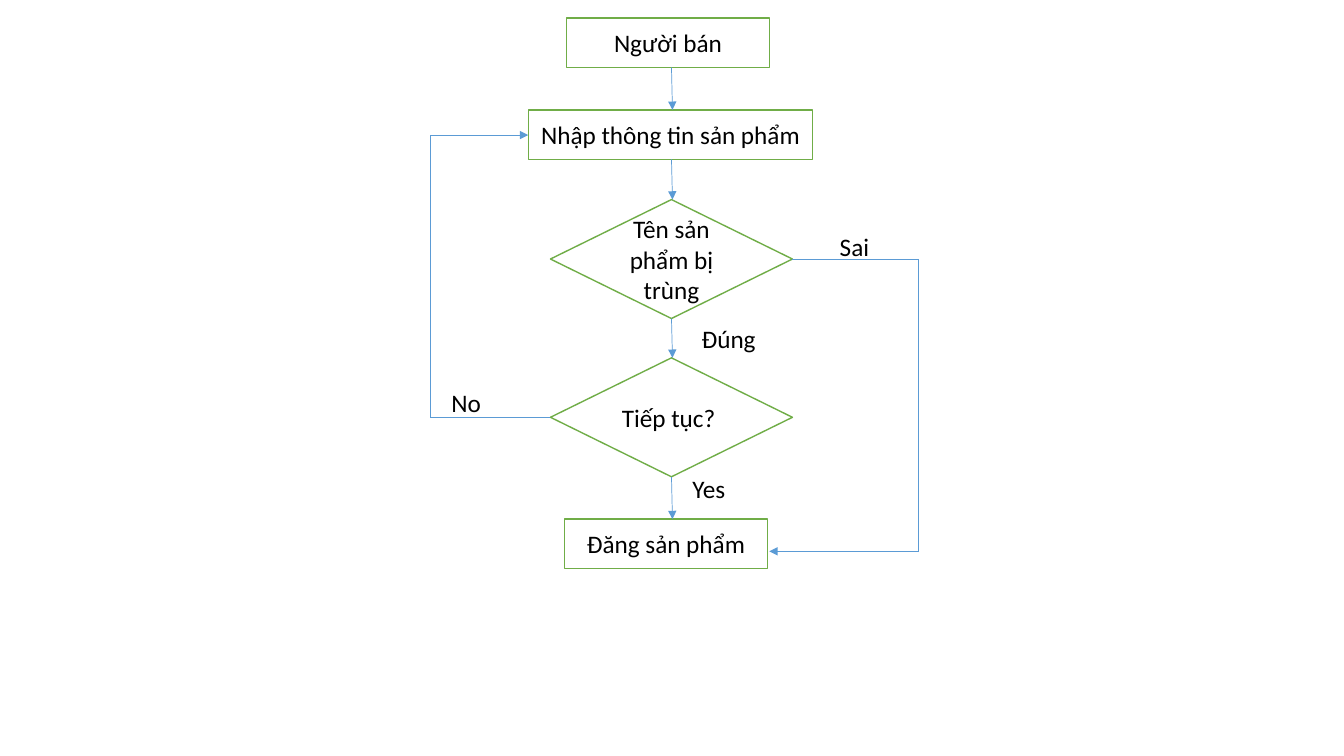
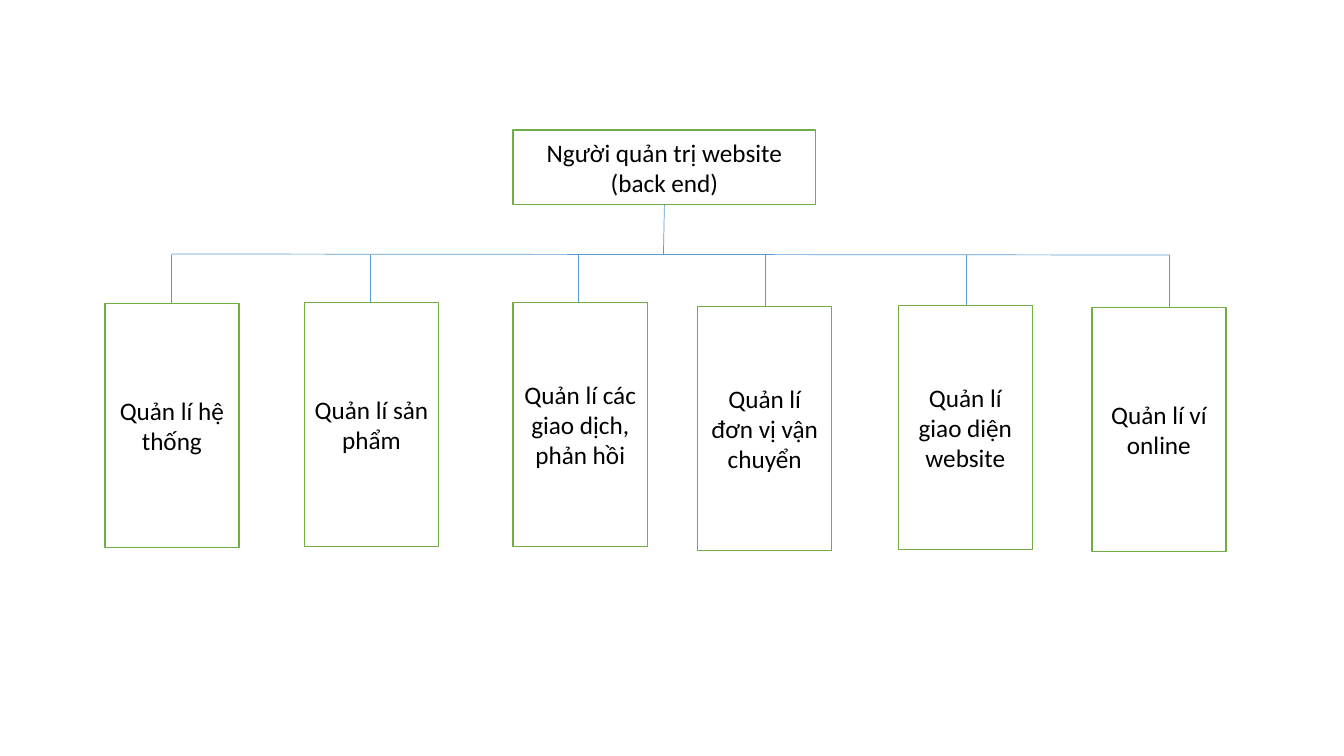
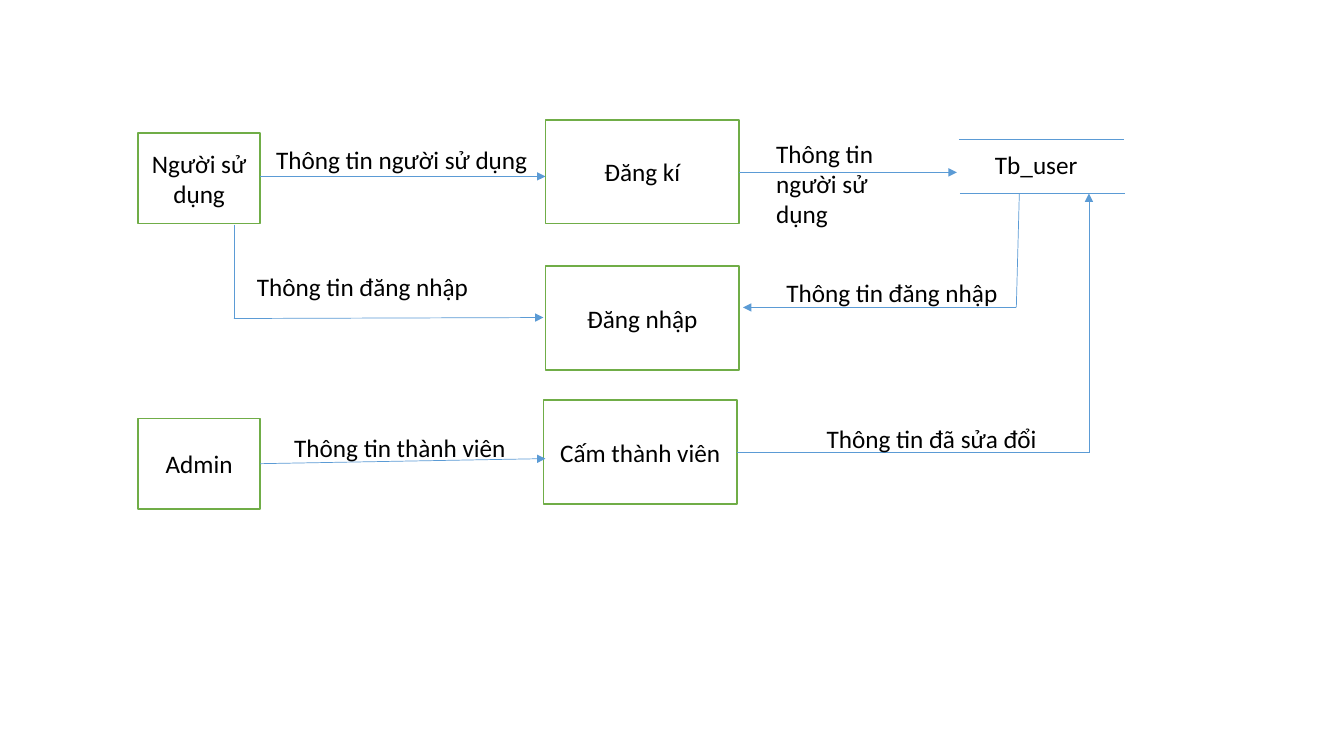
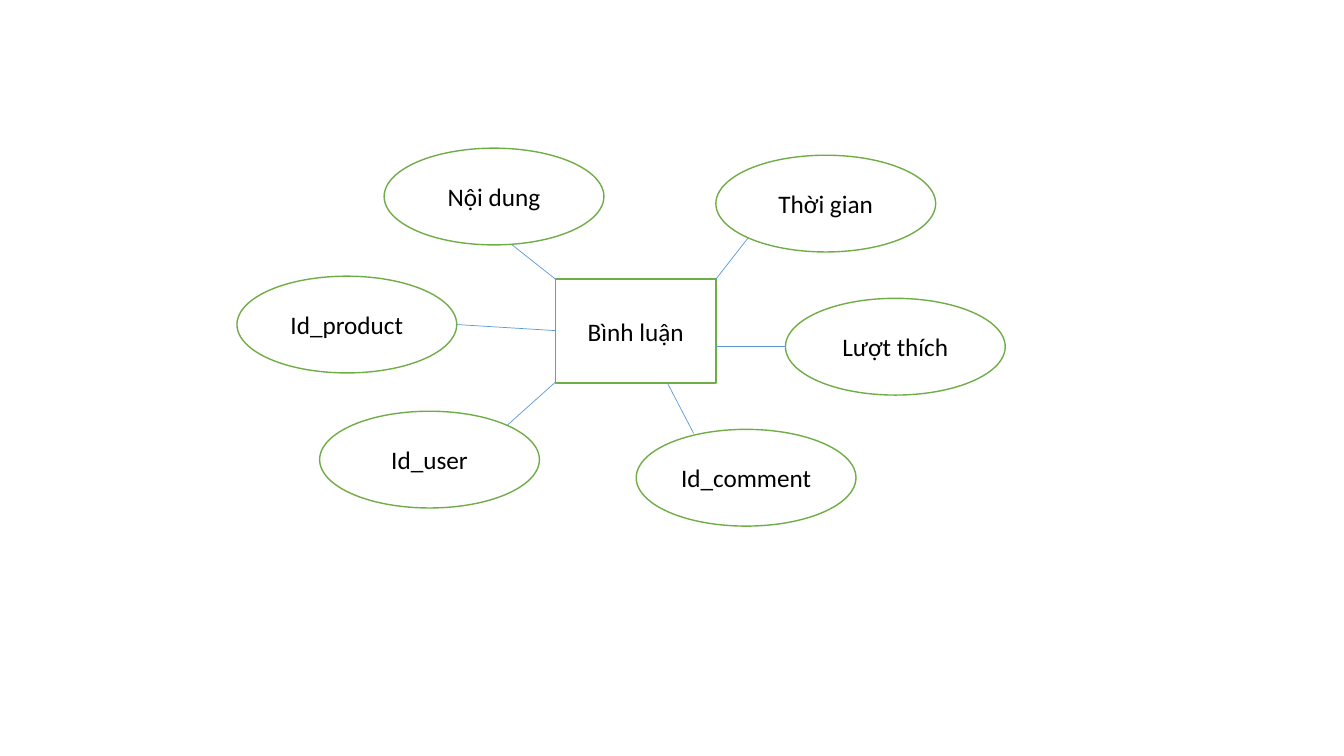
"""Build four diagram slides: a flowchart, a function tree, a data flow and an entity map."""
from itertools import pairwise

from lxml.etree import SubElement
from pptx import Presentation
from pptx.dml.color import RGBColor
from pptx.enum.shapes import MSO_CONNECTOR, MSO_SHAPE
from pptx.enum.text import MSO_ANCHOR, MSO_AUTO_SIZE, PP_ALIGN
from pptx.oxml.ns import qn
from pptx.util import Inches, Pt

COLORS = {"fill": "FFFFFF", "edge": "70AD47", "link": "5B9BD5", "text": "000000"}
FONT, SIZE = "Calibri", 18
RECT, OVAL, TEST = MSO_SHAPE.RECTANGLE, MSO_SHAPE.OVAL, MSO_SHAPE.FLOWCHART_DECISION
ROW = 0.4

KINDS = {
    "step": (RECT, 2.01, 0.49),
    "input": (RECT, 2.82, 0.49),
    "test": (TEST, 2.4, 1.18),
    "root": (RECT, 3, 0.74),
    "leaf": (RECT, 1.33, 2.42),
    "actor": (RECT, 1.21, 0.9),
    "task": (RECT, 1.92, 1.03),
    "entity": (RECT, 1.59, 1.03),
    "field": (OVAL, 2.18, 0.96),
}

STEPS = [
    ("step", "Người bán", 5.62, 0.18),
    ("input", "Nhập thông tin sản phẩm", 5.24, 1.09),
    ("test", "Tên sản phẩm bị trùng", 5.46, 1.98),
    ("test", "Tiếp tục? ", 5.46, 3.55),
    ("step", "Đăng sản phẩm", 5.6, 5.15),
]
AXIS = 6.66

ROOT = ("root", "Người quản trị website\n(back end)", 5.09, 1.29)
BUS = 2.53
LEAVES = [
    ("Quản lí hệ thống", 1.04, 3.01, 1.7),
    ("Quản lí sản phẩm", 3.02, 3, 3.67),
    ("Quản lí các giao dịch, phản hồi", 5.09, 3, 5.74),
    ("Quản lí đơn vị vận chuyển", 6.92, 3.04, 7.59),
    ("Quản lí giao diện website", 8.91, 3.03, 9.58),
    ("Quản lí ví online", 10.83, 3.05, 11.6),
]

FIELDS = [
    ("Id_comment", 6.31, 4.26),
    ("Id_user", 3.17, 4.08),
    ("Id_product", 2.35, 2.74),
    ("Nội dung", 3.81, 1.47),
    ("Thời gian", 7.1, 1.54),
    ("Lượt thích", 7.79, 2.96),
]


def foot(box):
    """Return the bottom edge of a box."""
    return box[3] + KINDS[box[0]][2]


SLIDES = [
    {
        "boxes": STEPS,
        "arrows": [
            *([(AXIS, foot(a)), (AXIS + 0.01, b[3])] for a, b in pairwise(STEPS)),
            [(7.86, 2.57), (9.11, 2.57), (9.11, 5.47), (7.63, 5.47)],
            [(5.46, 4.14), (4.27, 4.14), (4.27, 1.34), (5.24, 1.34)],
        ],
        "labels": [
            ("Sai", 8.23, 2.25, 0.55),
            ("Đúng", 6.86, 3.16, 0.75),
            ("Yes", 6.77, 4.65, 0.53),
            ("No", 4.38, 3.79, 0.5),
        ],
    },
    {
        "boxes": [ROOT, *(("leaf", text, x, y) for text, x, y, _ in LEAVES)],
        "lines": [
            [(LEAVES[0][3], BUS - 0.01), (LEAVES[-1][3], BUS)],
            [(6.59, foot(ROOT)), (6.58, BUS)],
            *([(stem, BUS), (stem, y)] for _, _, y, stem in LEAVES),
        ],
    },
    {
        "boxes": [
            ("actor", "Người sử dụng", 1.37, 1.32),
            ("actor", "Admin", 1.37, 4.15),
            ("task", "Đăng kí", 5.41, 1.19),
            ("task", "Đăng nhập", 5.41, 2.64),
            ("task", "Cấm thành viên", 5.39, 3.97),
        ],
        "lines": [
            [(9.51, 1.38), (11.15, 1.38)],
            [(9.52, 1.92), (11.16, 1.92)],
        ],
        "arrows": [
            [(2.58, 1.75), (5.41, 1.75)],
            [(7.33, 1.71), (9.49, 1.71)],
            [(2.32, 2.23), (2.32, 3.16), (5.39, 3.15)],
            [(10.11, 1.92), (10.08, 3.05), (7.37, 3.05)],
            [(2.58, 4.6), (5.41, 4.55)],
            [(7.31, 4.49), (10.8, 4.49), (10.8, 1.92)],
        ],
        "labels": [
            ("Thông tin người sử dụng", 2.64, 1.38, 2.73),
            ("Tb_user", 9.77, 1.43, 1.03),
            ("Thông tin đăng nhập", 2.45, 2.64, 2.32),
            ("Thông tin đăng nhập", 7.7, 2.7, 2.32),
            ("Thông tin thành viên", 2.82, 4.24, 2.33),
            ("Thông tin đã sửa đổi", 8.1, 4.15, 2.31),
        ],
        "notes": [("Thông tin người sử dụng", 7.6, 1.32, 1.38, 1.01)],
    },
    {
        "boxes": [
            ("entity", "Bình luận", 5.51, 2.77),
            *(("field", *field) for field in FIELDS),
        ],
        "lines": [
            [(5.08, 2.43), (5.51, 2.77)],
            [(7.42, 2.36), (7.1, 2.77)],
            [(7.79, 3.44), (7.1, 3.44)],
            [(6.88, 4.3), (6.62, 3.8)],
            [(5.03, 4.22), (5.51, 3.79)],
            [(4.53, 3.22), (5.51, 3.28)],
        ],
    },
]


def color(name):
    """Look up a colour by its role."""
    return RGBColor.from_string(COLORS[name])


def write(frame, text, align):
    """Fill a text frame, one paragraph for each line."""
    for i, line in enumerate(text.split("\n")):
        para = frame.add_paragraph() if i else frame.paragraphs[0]
        para.alignment = align
        run = para.add_run()
        run.text = line
        run.font.name, run.font.size = FONT, Pt(SIZE)
        run.font.color.rgb = color("text")


def add_box(slide, kind, text, x, y):
    """Draw an outlined shape with centred text."""
    form, wide, high = KINDS[kind]
    shape = slide.shapes.add_shape(form, *map(Inches, (x, y, wide, high)))
    shape.shadow.inherit = False
    shape.fill.solid()
    shape.fill.fore_color.rgb = color("fill")
    shape.line.color.rgb = color("edge")
    shape.line.width = Pt(1)
    frame = shape.text_frame
    frame.word_wrap = True
    frame.vertical_anchor = MSO_ANCHOR.MIDDLE
    write(frame, text, PP_ALIGN.CENTER)


def add_path(slide, points, arrow=False):
    """Join points with straight lines, with an optional head at the end."""
    for start, end in pairwise(points):
        link = slide.shapes.add_connector(
            MSO_CONNECTOR.STRAIGHT, *map(Inches, (*start, *end)))
        link.line.color.rgb = color("link")
        link.line.width = Pt(0.5)
        props = link.line._get_or_add_ln()
        SubElement(props.getparent(), qn("a:effectLst"))
    if arrow:
        SubElement(props, qn("a:tailEnd"), type="triangle")


def add_label(slide, text, x, y, wide, high=ROW, wrap=False):
    """Place plain text beside a line."""
    frame = slide.shapes.add_textbox(*map(Inches, (x, y, wide, high))).text_frame
    frame.word_wrap = wrap
    frame.auto_size = MSO_AUTO_SIZE.SHAPE_TO_FIT_TEXT
    write(frame, text, PP_ALIGN.LEFT)


def main():
    """Draw every slide and save the deck."""
    deck = Presentation()
    deck.slide_width, deck.slide_height = Inches(13.33), Inches(7.5)
    for plan in SLIDES:
        slide = deck.slides.add_slide(deck.slide_layouts[6])
        for box in plan["boxes"]:
            add_box(slide, *box)
        for points in plan.get("lines", []):
            add_path(slide, points)
        for points in plan.get("arrows", []):
            add_path(slide, points, arrow=True)
        for label in plan.get("labels", []):
            add_label(slide, *label)
        for note in plan.get("notes", []):
            add_label(slide, *note, wrap=True)
    deck.save("out.pptx")


if __name__ == "__main__":
    main()
